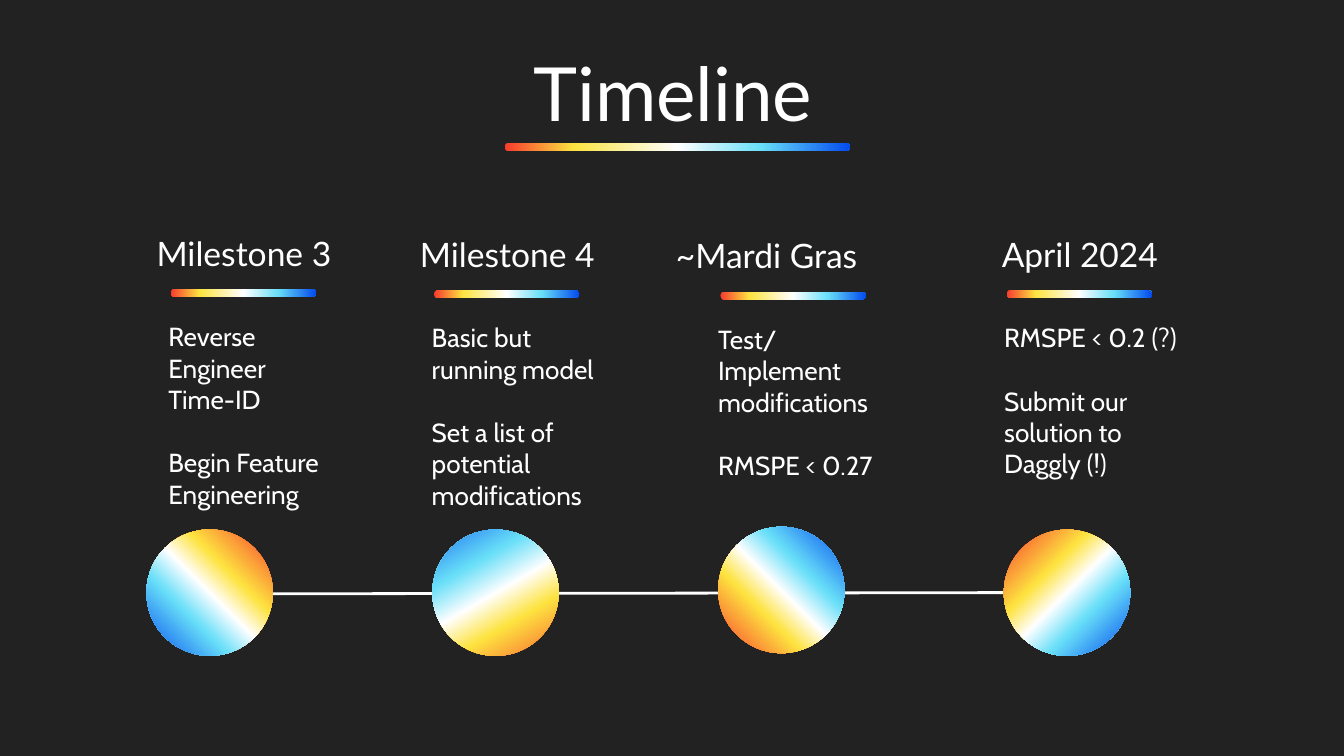
from lxml import etree
from pptx import Presentation
from pptx.dml.color import RGBColor
from pptx.enum.shapes import MSO_CONNECTOR, MSO_SHAPE
from pptx.enum.text import MSO_ANCHOR, MSO_AUTO_SIZE, PP_ALIGN
from pptx.oxml import parse_xml
from pptx.oxml.ns import nsdecls, qn
from pptx.util import Pt

LEFT, CENTER = PP_ALIGN.LEFT, PP_ALIGN.CENTER
TOP = MSO_ANCHOR.TOP
NO_AUTOFIT = MSO_AUTO_SIZE.NONE
ELLIPSE, ROUNDED = MSO_SHAPE.OVAL, MSO_SHAPE.ROUNDED_RECTANGLE
STRAIGHT = MSO_CONNECTOR.STRAIGHT

COLORS = {
    "background": "222222", "white": "FFFFFF", "red": "F73A2D",
    "yellow": "FDE340", "cyan": "69DFF8", "blue": "034BEE",
}
SPECTRUM = ("red", "yellow", "white", "cyan", "blue")
BAR_STOPS = (0, 20, 50, 74, 100)
CIRCLE_STOPS = (0, 34, 50, 67, 100)

CIRCLE_SIZE = 67.7
CIRCLE_LEFT, CIRCLE_PITCH = 78.5, 153.1

# heading, its alignment, tasks, left, top, tasks width, circle top, circle turn
MILESTONES = [
    ("Milestone 3", CENTER, ["Reverse Engineer Time-ID", "Begin Feature Engineering"],
     60.5, 117.4, 140.4, 283.7, 0),
    ("Milestone 4", CENTER,
     ["Basic but running model", "Set a list of potential modifications"],
     201.6, 118, 140.4, 283.7, 105),
    ("~Mardi Gras", LEFT, ["Test/Implement modifications", "RMSPE < 0.27"],
     355, 118.8, 146.9, 282.2, 180),
    ("April 2024", CENTER, ["RMSPE < 0.2 (?)", "Submit our solution to Daggly (!)"],
     508.3, 118, 151.2, 283.7, 270),
]


def color(name):
    return RGBColor.from_string(COLORS[name])


def write(holder, paragraphs, *, font, size, align=LEFT, indent=0, gap=0):
    """Fill a text holder; gap is the space between its paragraphs."""
    frame = holder.text_frame
    frame.word_wrap = True
    frame.auto_size = NO_AUTOFIT
    frame.vertical_anchor = TOP
    frame.margin_left = frame.margin_right = Pt(7.2)
    frame.margin_top = frame.margin_bottom = Pt(7.2)
    for number, text in enumerate(paragraphs):
        paragraph = frame.add_paragraph() if number else frame.paragraphs[0]
        paragraph.alignment = align
        paragraph.space_before = Pt(gap if number else 0)
        if indent:
            paragraph._p.get_or_add_pPr().set("marL", str(Pt(indent)))
        run = paragraph.add_run()
        run.text = text
        run.font.name = font
        run.font.size = Pt(size)
        run.font.color.rgb = color("white")


def add_text(slide, left, top, width, height, paragraphs, **text_format):
    box = slide.shapes.add_textbox(Pt(left), Pt(top), Pt(width), Pt(height))
    write(box, paragraphs, **text_format)


def add_spectrum(slide, kind, left, top, width, height, stops, angle, turn):
    """Add a borderless shape with the five-colour gradient, turned clockwise."""
    shape = slide.shapes.add_shape(kind, Pt(left), Pt(top), Pt(width), Pt(height))
    shape.shadow.inherit = False
    shape.line.fill.background()
    shape.rotation = turn
    marks = "".join(
        f'<a:gs pos="{stop * 1000}"><a:srgbClr val="{COLORS[name]}"/></a:gs>'
        for stop, name in zip(stops, SPECTRUM))
    gradient = parse_xml(
        f'<a:gradFill {nsdecls("a")} rotWithShape="1"><a:gsLst>{marks}</a:gsLst>'
        f'<a:lin ang="{angle * 60000}" scaled="0"/></a:gradFill>')
    shape._element.spPr.find(qn("a:prstGeom")).addnext(gradient)
    return shape


def add_bar(slide, left, top, length):
    """Add an underline: an upright bar laid on its side."""
    bar = add_spectrum(slide, ROUNDED, left, top, 4.3, length, BAR_STOPS, 90, 270)
    bar.adjustments[0] = 0.5


def add_axis(slide):
    axis = slide.shapes.add_connector(STRAIGHT, Pt(108.7), Pt(318.2), Pt(537.8), Pt(317.5))
    axis.line.color.rgb = color("white")
    axis.line.width = Pt(1.5)
    etree.SubElement(axis._element.spPr, qn("a:effectLst"))


def add_milestone(slide, index, heading, align, tasks, left, top, tasks_width,
                  circle_top, turn):
    add_text(slide, left, top, 140.4, 41.8, [heading], font="Lato", size=18, align=align)
    add_bar(slide, left + 67.7, top + 0.7, 77.8)
    add_text(slide, left - 13.4, top + 47.2, tasks_width, 113.8, tasks,
             font="Cabin", size=14, indent=36, gap=17)
    add_spectrum(slide, ELLIPSE, CIRCLE_LEFT + index * CIRCLE_PITCH, circle_top,
                 CIRCLE_SIZE, CIRCLE_SIZE, CIRCLE_STOPS, 135, turn)


def main():
    deck = Presentation()
    deck.slide_width, deck.slide_height = Pt(720), Pt(405)
    slide = deck.slides.add_slide(deck.slide_layouts[5])
    slide.background.fill.solid()
    slide.background.fill.fore_color.rgb = color("background")

    title = slide.shapes.title
    title.left, title.top, title.width, title.height = Pt(56.9), Pt(18), Pt(607), Pt(45.4)
    write(title, ["Timeline"], font="Lato", size=40, align=CENTER)
    add_bar(slide, 360.7, -13.7, 185)

    add_axis(slide)
    for index, milestone in enumerate(MILESTONES):
        add_milestone(slide, index, *milestone)
    deck.save("out.pptx")


if __name__ == "__main__":
    main()
